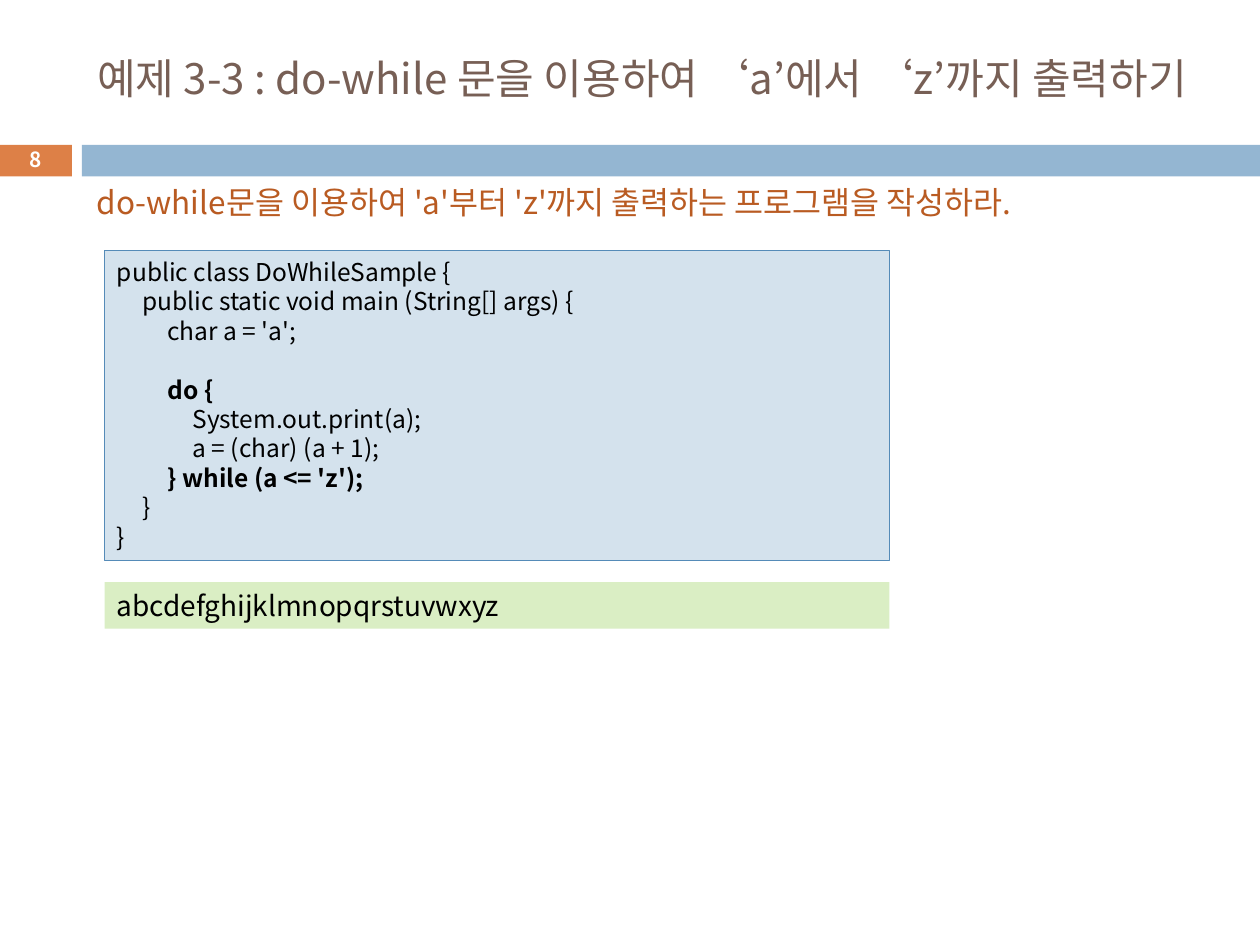
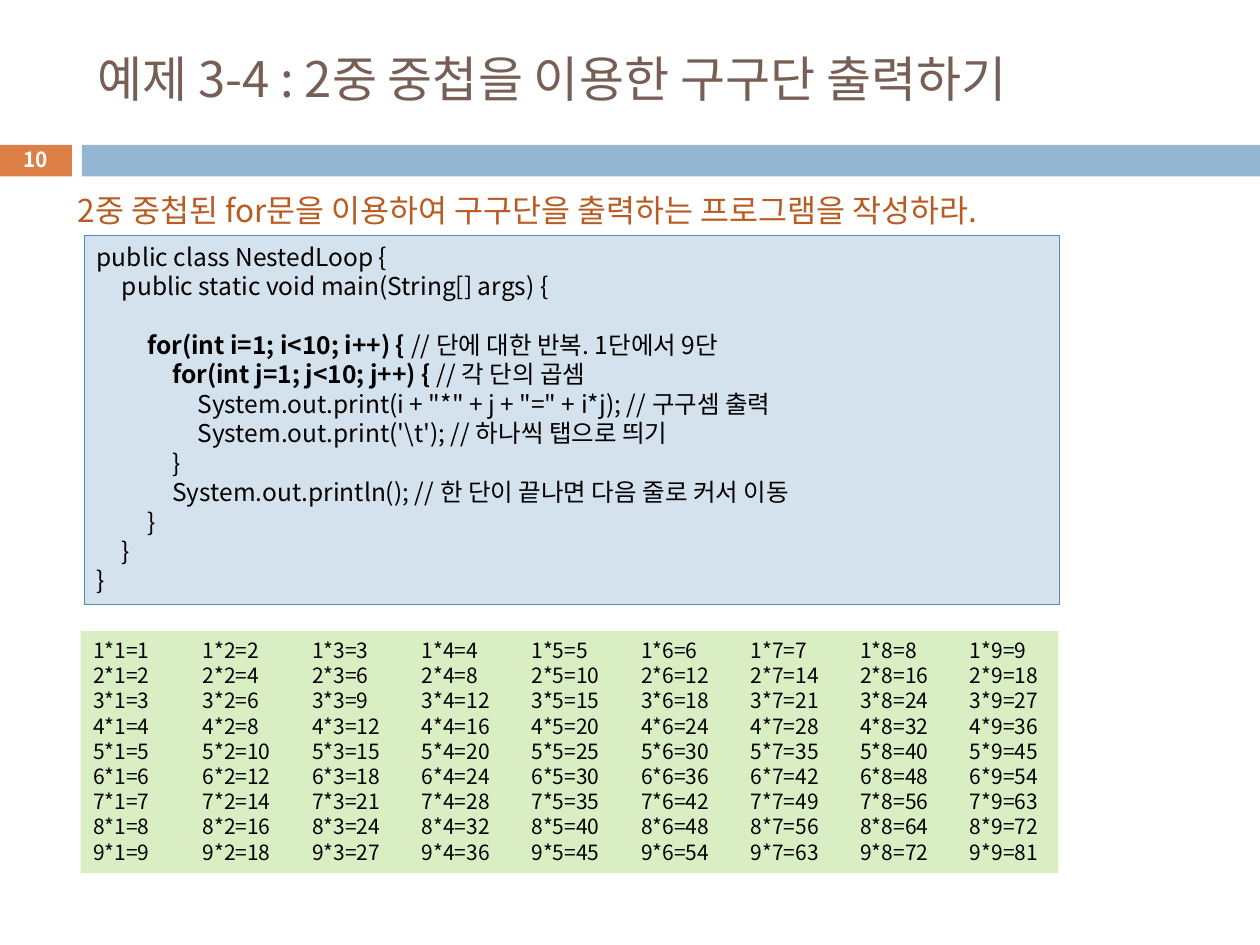
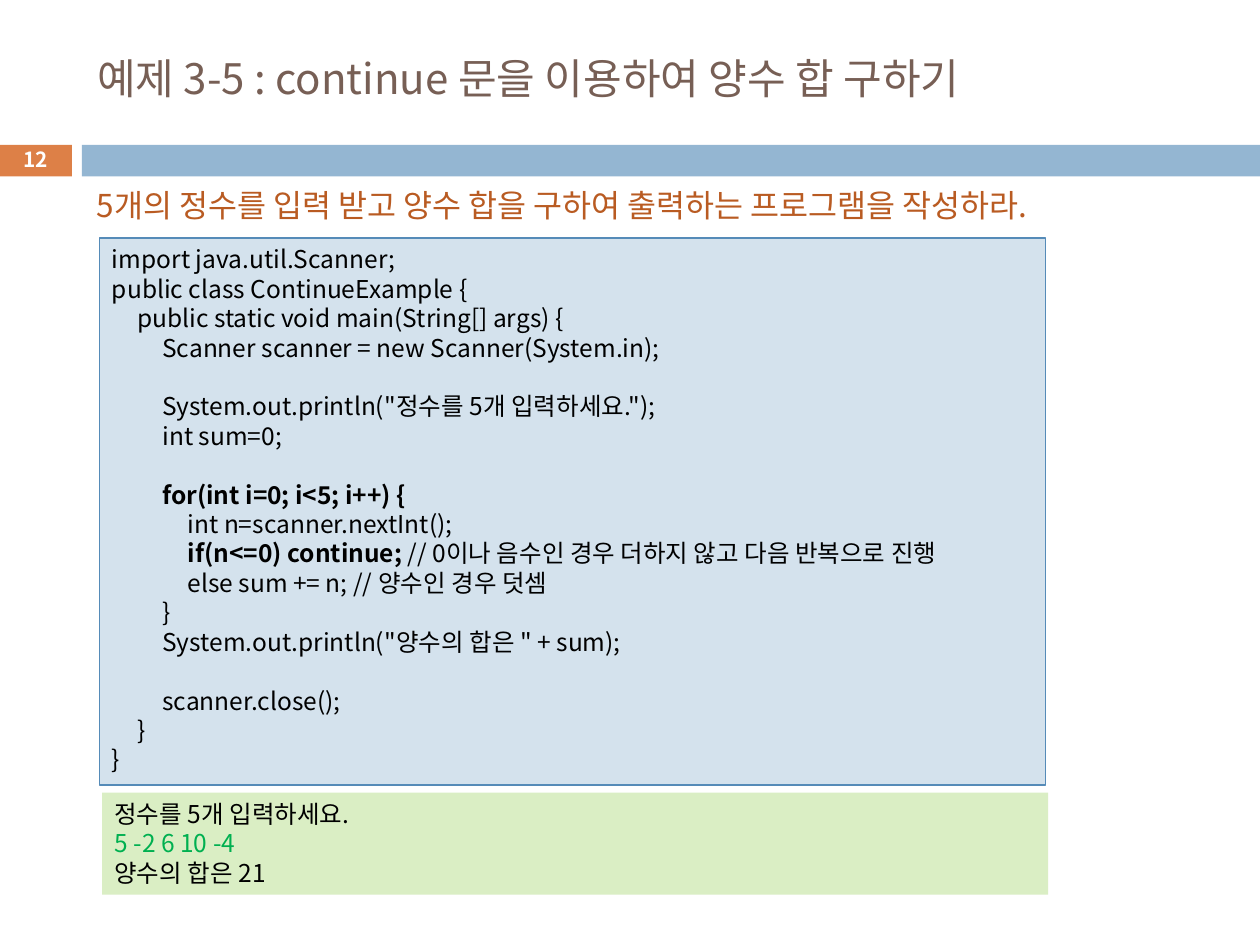
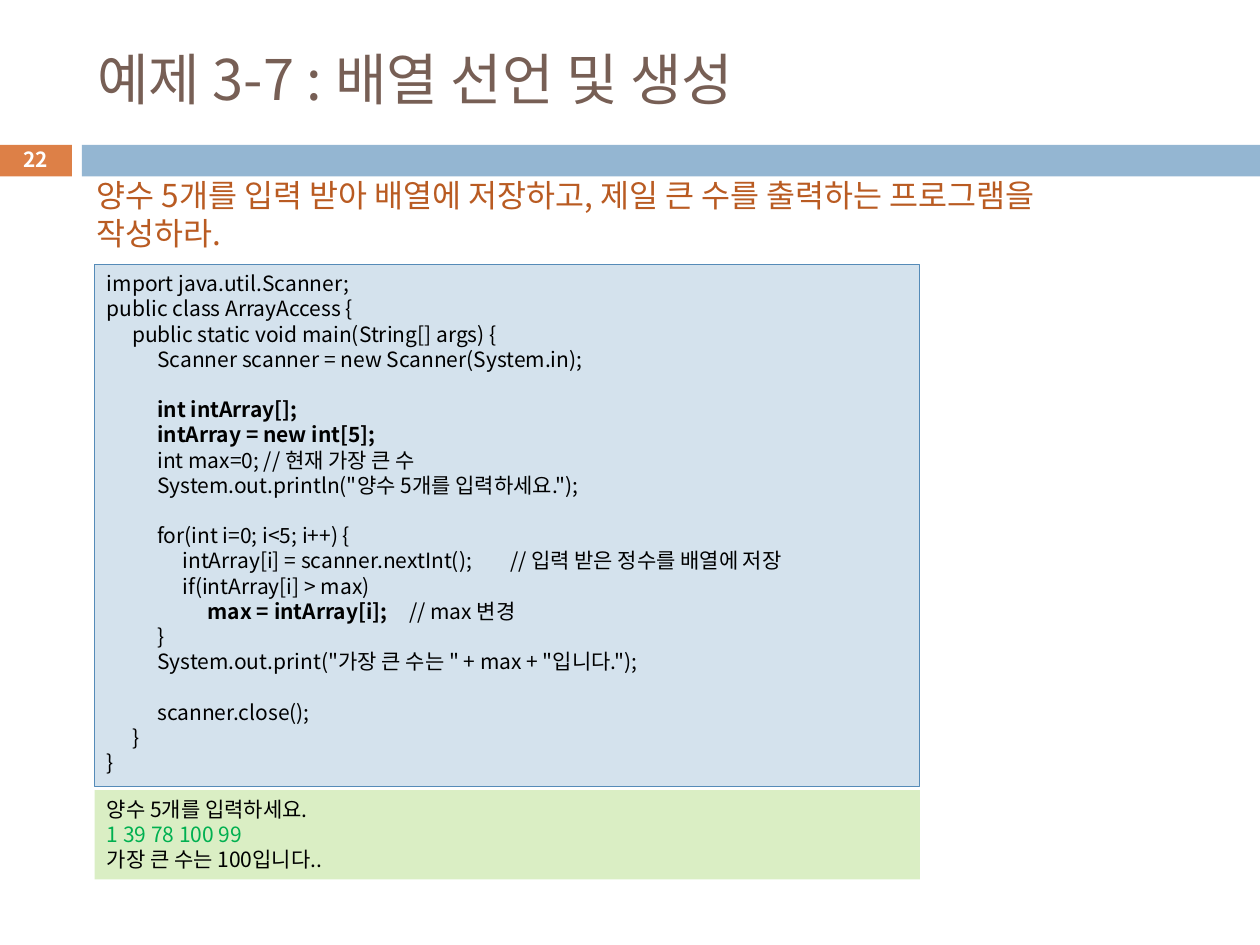
from lxml import etree
from pptx import Presentation
from pptx import util as u
from pptx.dml.color import RGBColor
from pptx.enum import shapes, text
from pptx.oxml.ns import qn

# Shared style
FONT = "Noto Sans CJK KR"
TITLE_BROWN = RGBColor(0x77, 0x5F, 0x55)
TASK_ORANGE = RGBColor(0xB9, 0x5B, 0x22)
NUMBER_ORANGE = RGBColor(0xDD, 0x80, 0x47)
BAND_BLUE = RGBColor(0x94, 0xB6, 0xD2)
CODE_FILL = RGBColor(0xD4, 0xE2, 0xED)
CODE_EDGE = RGBColor(0x55, 0x8B, 0xB8)
OUTPUT_FILL = RGBColor(0xDA, 0xEE, 0xC4)
INPUT_GREEN = RGBColor(0x00, 0xB0, 0x50)
BLACK = RGBColor(0, 0, 0)
WHITE = RGBColor(0xFF, 0xFF, 0xFF)
LINE_HEIGHT = 1.2
CODE_TAB = 0.2
TABLE_TAB = 0.87
BOLD_MARK = "**"


class Lesson:
    """Holds the style and the current slide."""

    def __init__(self):
        self.deck = Presentation()
        self.deck.slide_width = u.Inches(10)
        self.deck.slide_height = u.Inches(7.5)
        self.layout = self.deck.slide_layouts[5]
        self.slide = None

    def start(self, number, title, size, width=8.92):
        first = self.slide is None
        self.slide = self.deck.slides.add_slide(self.layout)
        if first:
            self.share_bands()
        heading = self.slide.shapes.title
        heading.left, heading.top = u.Inches(0.67), u.Inches(0.25)
        heading.width, heading.height = u.Inches(width), u.Inches(0.74)
        self.set_lines(heading, [title], size, TITLE_BROWN,
                       anchor=text.MSO_ANCHOR.MIDDLE)
        badge = self.slide.shapes.add_textbox(
            *map(u.Inches, (-0.01, 1.13, 0.58, 0.27)))
        self.set_lines(badge, [f"{BOLD_MARK}{number}"], 11.9, WHITE,
                       align=text.PP_ALIGN.CENTER,
                       anchor=text.MSO_ANCHOR.MIDDLE)

    def share_bands(self):
        """Draw the two bands once and hand them to the layout."""
        bands = [self.panel((-0.01, 1.15, 0.58, 0.25), NUMBER_ORANGE),
                 self.panel((0.65, 1.15, 9.35, 0.25), BAND_BLUE)]
        for order, band in enumerate(bands):
            band.element.nvSpPr.cNvPr.set("id", str(101 + order))
            self.layout.shapes.element.insert(2 + order, band.element)

    def panel(self, place, fill, edge=None):
        panel = self.slide.shapes.add_shape(
            shapes.MSO_SHAPE.RECTANGLE, *map(u.Inches, place))
        panel.shadow.inherit = False
        panel.fill.solid()
        panel.fill.fore_color.rgb = fill
        if edge is None:
            panel.line.fill.background()
        else:
            panel.line.color.rgb = edge
            panel.line.width = u.Pt(0.75)
        return panel

    def set_lines(self, shape, lines, size, color, align=text.PP_ALIGN.LEFT,
                  anchor=text.MSO_ANCHOR.TOP, tab=None):
        """Fill a shape; the bold mark switches bold on and off in a line."""
        frame = shape.text_frame
        frame.word_wrap = True
        frame.auto_size = text.MSO_AUTO_SIZE.NONE
        frame.vertical_anchor = anchor
        for index, line in enumerate(lines):
            paragraph = frame.paragraphs[0] if index == 0 else frame.add_paragraph()
            paragraph.alignment = align
            paragraph.line_spacing = u.Pt(size * LINE_HEIGHT)
            paragraph.font.size = u.Pt(size)
            if tab:
                self.set_tabs(paragraph, tab, shape.width)
            for part, words in enumerate(line.split(BOLD_MARK)):
                if words:
                    run = paragraph.add_run()
                    run.text = words
                    self.format_run(run, size, color, part % 2 == 1)

    def format_run(self, run, size, color, bold):
        run.font.name = FONT
        run.font.size = u.Pt(size)
        run.font.bold = bold
        run.font.color.rgb = color
        east_asian = etree.SubElement(run.font._element, qn("a:ea"))
        east_asian.set("typeface", FONT)

    def set_tabs(self, paragraph, step, width):
        properties = paragraph._p.get_or_add_pPr()
        stops = etree.Element(qn("a:tabLst"))
        for count in range(1, min(32, int(width / u.Inches(step))) + 1):
            etree.SubElement(stops, qn("a:tab"),
                             pos=str(u.Inches(step * count)), algn="l")
        properties.find(qn("a:lnSpc")).addnext(stops)

    def task(self, top, words, height=0.4, left=0.67):
        box = self.slide.shapes.add_textbox(
            *map(u.Inches, (left, top, 8.55, height)))
        self.set_lines(box, [words], 18, TASK_ORANGE)

    def code(self, place, listing, size=14):
        """Show a program; four spaces of indent become one tab."""
        lines = []
        for line in listing.strip().splitlines():
            body = line.lstrip(" ")
            lines.append("\t" * ((len(line) - len(body)) // 4) + body)
        self.set_lines(self.panel(place, CODE_FILL, CODE_EDGE), lines, size,
                       BLACK, tab=CODE_TAB)

    def output(self, place, lines, size, typed=None, tab=None):
        """Show what the program prints; the typed line is green."""
        box = self.panel(place, OUTPUT_FILL)
        self.set_lines(box, lines, size, BLACK, tab=tab)
        if typed is not None:
            for run in box.text_frame.paragraphs[typed].runs:
                run.font.color.rgb = INPUT_GREEN


lesson = Lesson()

# do-while
lesson.start(8, "예제 3-3 : do-while 문을 이용하여 ‘a’에서 ‘z’까지 출력하기", 24, width=9.13)
lesson.code((0.83, 1.99, 6.23, 2.46), """
public class DoWhileSample {
    public static void main (String[] args) {
        char a = 'a';

        **do {**
            System.out.print(a);
            a = (char) (a + 1);
        **} while (a <= 'z');**
    }
}
""")
lesson.task(1.4, "do-while문을 이용하여 'a'부터 'z'까지 출력하는 프로그램을 작성하라.")
lesson.output((0.83, 4.62, 6.23, 0.37), ["abcdefghijklmnopqrstuvwxyz"], 16)

# Nested loops
lesson.start(10, "예제 3-4 : 2중 중첩을 이용한 구구단 출력하기", 28)
lesson.code((0.67, 1.87, 7.74, 2.93), r"""
public class NestedLoop {
    public static void main(String[] args) {

        **for(int i=1; i<10; i++) { **// 단에 대한 반복. 1단에서 9단
            **for(int j=1; j<10; j++) { **// 각 단의 곱셈
                System.out.print(i + "*" + j + "=" + i*j); // 구구셈 출력
                System.out.print('\t'); // 하나씩 탭으로 띄기
            }
            System.out.println(); // 한 단이 끝나면 다음 줄로 커서 이동
        }
    }
}
""")
lesson.task(1.47, "2중 중첩된 for문을 이용하여 구구단을 출력하는 프로그램을 작성하라.", left=0.52)
times_table = ["\t".join(f"{i}*{j}={i * j}" for j in range(1, 10))
               for i in range(1, 10)]
lesson.output((0.64, 5.01, 7.76, 1.92), times_table, 12, tab=TABLE_TAB)

# continue
lesson.start(12, "예제 3-5 : continue 문을 이용하여 양수 합 구하기", 24)
lesson.code((0.79, 1.89, 7.51, 4.34), """
import java.util.Scanner;
public class ContinueExample {
    public static void main(String[] args) {
        Scanner scanner = new Scanner(System.in);

        System.out.println("정수를 5개 입력하세요.");
        int sum=0;

        **for(int i=0; i<5; i++) {**
            int n=scanner.nextInt();
            **if(n<=0) continue;** // 0이나 음수인 경우 더하지 않고 다음 반복으로 진행
            else sum += n; // 양수인 경우 덧셈
        }
        System.out.println("양수의 합은 " + sum);

        scanner.close();
    }
}
""")
lesson.task(1.43, "5개의 정수를 입력 받고 양수 합을 구하여 출력하는 프로그램을 작성하라.")
lesson.output((0.81, 6.29, 7.51, 0.81),
              ["정수를 5개 입력하세요.", "5 -2 6 10 -4", "양수의 합은 21"],
              14, typed=1)

# Arrays
lesson.start(22, "예제 3-7 : 배열 선언 및 생성", 32)
lesson.task(1.35, "양수 5개를 입력 받아 배열에 저장하고, 제일 큰 수를 출력하는 프로그램을 작성하라.",
            height=0.71)
lesson.code((0.75, 2.1, 6.55, 4.14), """
import java.util.Scanner;
public class ArrayAccess {
    public static void main(String[] args) {
        Scanner scanner = new Scanner(System.in);

        **int intArray[];**
        **intArray = new int[5];**
        int max=0; // 현재 가장 큰 수
        System.out.println("양수 5개를 입력하세요.");

        for(int i=0; i<5; i++) {
            intArray[i] = scanner.nextInt(); \t\t// 입력 받은 정수를 배열에 저장
            if(intArray[i] > max)
                **max = intArray[i]; **\t// max 변경
        }
        System.out.print("가장 큰 수는 " + max + "입니다.");

        scanner.close();
    }
}
""", size=12)
lesson.output((0.75, 6.27, 6.55, 0.71),
              ["양수 5개를 입력하세요.", "1 39 78 100 99", "가장 큰 수는 100입니다.."],
              12, typed=1)

lesson.deck.save("out.pptx")
